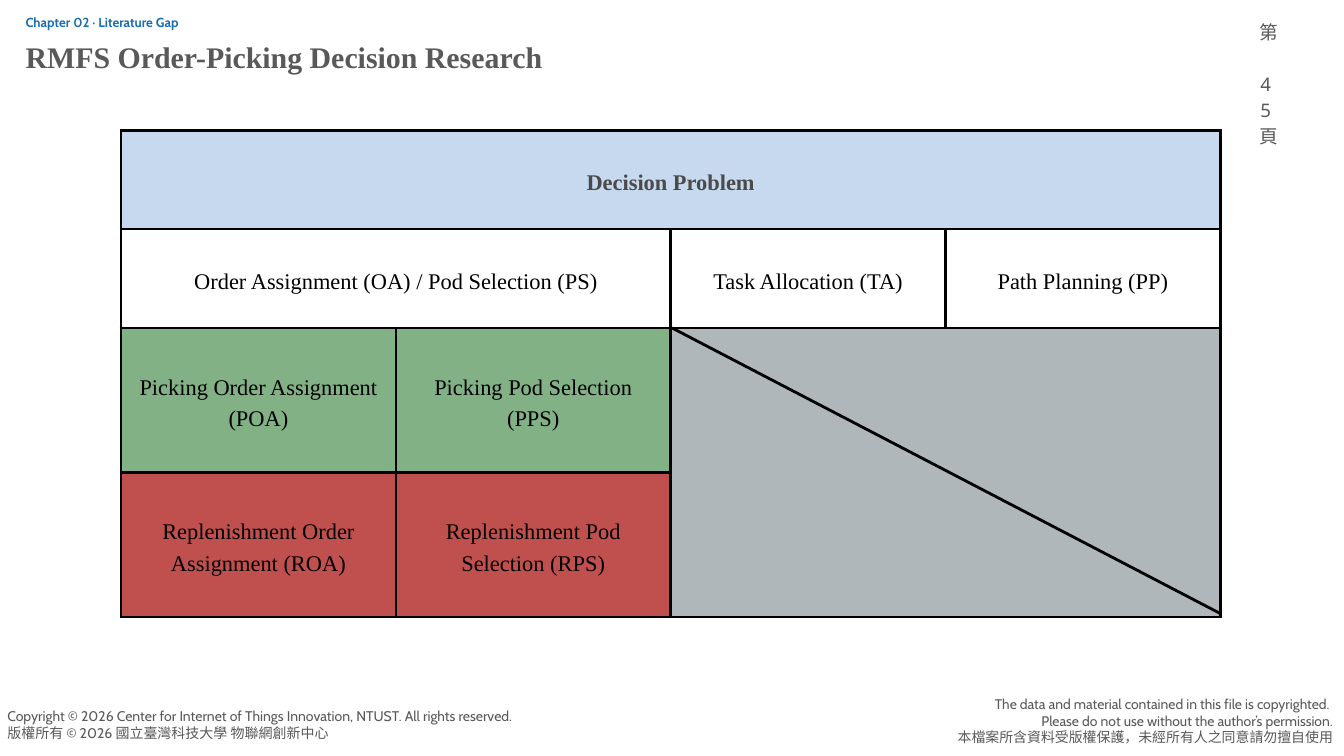
import pptx
import pptx.dml.color
import pptx.enum.shapes
import pptx.enum.text
import pptx.oxml.ns
import pptx.util
from lxml import etree

WIDTH, HEIGHT = 20, 11.25
GREY = "595959"
SERIF = "Times New Roman"
LEFT = pptx.enum.text.PP_ALIGN.LEFT
CENTER = pptx.enum.text.PP_ALIGN.CENTER
RIGHT = pptx.enum.text.PP_ALIGN.RIGHT

# Decision table grid, in inches
MARGIN = 0.38
TABLE_LEFT, TABLE_TOP = 1.8, 1.94
COLUMNS, COLUMN_WIDTH = 4, 4.09
ROW_HEIGHTS = [1.47, 1.47, 2.15, 2.15]
BORDER = 3

# Row, column, row span, column span, fill, text
DECISION_CELLS = [
    (0, 0, 1, 4, "C7D9EF", "Decision Problem"),
    (1, 0, 1, 2, None, "Order Assignment (OA) / Pod Selection (PS)"),
    (1, 2, 1, 1, None, "Task Allocation (TA)"),
    (1, 3, 1, 1, None, "Path Planning (PP)"),
    (2, 0, 1, 1, "83B186", "Picking Order Assignment (POA)"),
    (2, 1, 1, 1, "83B186", "Picking Pod Selection (PPS)"),
    (2, 2, 2, 2, "B0B7BA", ""),
    (3, 0, 1, 1, "C0504D", "Replenishment Order Assignment (ROA)"),
    (3, 1, 1, 1, "C0504D", "Replenishment Pod Selection (RPS)"),
]


def color(value):
    return pptx.dml.color.RGBColor.from_string(value)


def inches(*lengths):
    return [pptx.util.Inches(length) for length in lengths]


def format_text(text_frame, font, size, spacing, fill=GREY, bold=False, align=LEFT):
    for paragraph in text_frame.paragraphs:
        paragraph.alignment = align
        paragraph.line_spacing = pptx.util.Pt(spacing)
        for run in paragraph.runs:
            run.font.name = font
            run.font.size = pptx.util.Pt(size)
            run.font.bold = bold
            run.font.color.rgb = color(fill)


def fill_frame(text_frame, text, *style, **options):
    text_frame.margin_left = text_frame.margin_right = 0
    text_frame.margin_top = text_frame.margin_bottom = 0
    text_frame.vertical_anchor = pptx.enum.text.MSO_ANCHOR.TOP
    text_frame.word_wrap = True
    text_frame.auto_size = pptx.enum.text.MSO_AUTO_SIZE.SHAPE_TO_FIT_TEXT
    text_frame.text = text
    format_text(text_frame, *style, **options)


def add_text(slide, box, text, *style, **options):
    shape = slide.shapes.add_textbox(*inches(*box))
    fill_frame(shape.text_frame, text, *style, **options)


def set_title(slide, box, text, *style, **options):
    title = slide.shapes.title
    title.left, title.top, title.width, title.height = inches(*box)
    fill_frame(title.text_frame, text, *style, **options)


def set_borders(cell):
    properties = cell._tc.get_or_add_tcPr()
    for side in ("a:lnL", "a:lnR", "a:lnT", "a:lnB"):
        line = etree.SubElement(properties, pptx.oxml.ns.qn(side), w=str(pptx.util.Pt(BORDER)))
        solid = etree.SubElement(line, pptx.oxml.ns.qn("a:solidFill"))
        etree.SubElement(solid, pptx.oxml.ns.qn("a:srgbClr"), val="000000")


def add_decision_table(slide):
    box = (TABLE_LEFT, TABLE_TOP, COLUMNS * COLUMN_WIDTH, sum(ROW_HEIGHTS))
    table = slide.shapes.add_table(len(ROW_HEIGHTS), COLUMNS, *inches(*box)).table
    table.first_row = table.horz_banding = False
    for column in table.columns:
        column.width = pptx.util.Inches(COLUMN_WIDTH)
    for row, height in zip(table.rows, ROW_HEIGHTS):
        row.height = pptx.util.Inches(height)
    for cell in table.iter_cells():
        set_borders(cell)
        cell.fill.background()

    for row, column, row_span, column_span, fill, text in DECISION_CELLS:
        cell = table.cell(row, column)
        if row_span * column_span > 1:
            cell.merge(table.cell(row + row_span - 1, column + column_span - 1))
        if fill:
            cell.fill.solid()
            cell.fill.fore_color.rgb = color(fill)
        cell.margin_left = cell.margin_right = pptx.util.Inches(0.21)
        cell.margin_top = cell.margin_bottom = pptx.util.Inches(0.21)
        cell.vertical_anchor = pptx.enum.text.MSO_ANCHOR.MIDDLE
        cell.text = text
        header = row == 0
        format_text(cell.text_frame, SERIF, 24, 33.6, "4A4A4A" if header else "000000",
                    bold=header, align=CENTER)


def add_diagonal(slide):
    # Strikes through the merged grey cell
    start = (TABLE_LEFT + 2 * COLUMN_WIDTH + 0.02, TABLE_TOP + sum(ROW_HEIGHTS[:2]))
    end = (TABLE_LEFT + COLUMNS * COLUMN_WIDTH, TABLE_TOP + sum(ROW_HEIGHTS) - 0.05)
    line = slide.shapes.add_connector(
        pptx.enum.shapes.MSO_CONNECTOR.STRAIGHT, *inches(*start, *end))
    line.line.color.rgb = color("000000")
    line.line.width = pptx.util.Pt(BORDER)
    etree.SubElement(line._element.spPr, pptx.oxml.ns.qn("a:effectLst"))


def add_footer(slide):
    add_text(slide, (13.82, 10.35, 6.01, 0.84),
             "The data and material contained in this file is copyrighted. \n"
             "Please do not use without the author’s permission.\n"
             "本檔案所含資料受版權保護，未經所有人之同意請勿擅自使用",
             "Cabin", 14.9, 17.9, align=RIGHT)
    add_text(slide, (0.11, 10.53, 7.59, 0.72),
             "Copyright © 2026 Center for Internet of Things Innovation, NTUST. "
             "All rights reserved.\n"
             "版權所有 © 2026 國立臺灣科技大學 物聯網創新中心",
             "Cabin", 15, 18)


def main():
    presentation = pptx.Presentation()
    presentation.slide_width, presentation.slide_height = inches(WIDTH, HEIGHT)
    slide = presentation.slides.add_slide(presentation.slide_layouts[5])

    # Heading and page number
    add_text(slide, (MARGIN, 0.22, 13.12, 0.38), "Chapter 02 · Literature Gap",
             "Cabin", 14, 16.8, "1B6FB0", bold=True)
    set_title(slide, (MARGIN, 0.58, 7.82, 0.56), "RMFS Order-Picking Decision Research",
              SERIF, 32, 38.4, bold=True)
    add_text(slide, (18.75, 0.25, 0.17, 0.21), "第 45 頁", "Noto Sans", 20, 28, align=CENTER)

    # Decision problems
    add_decision_table(slide)
    add_diagonal(slide)

    add_footer(slide)
    presentation.save("out.pptx")


if __name__ == "__main__":
    main()
